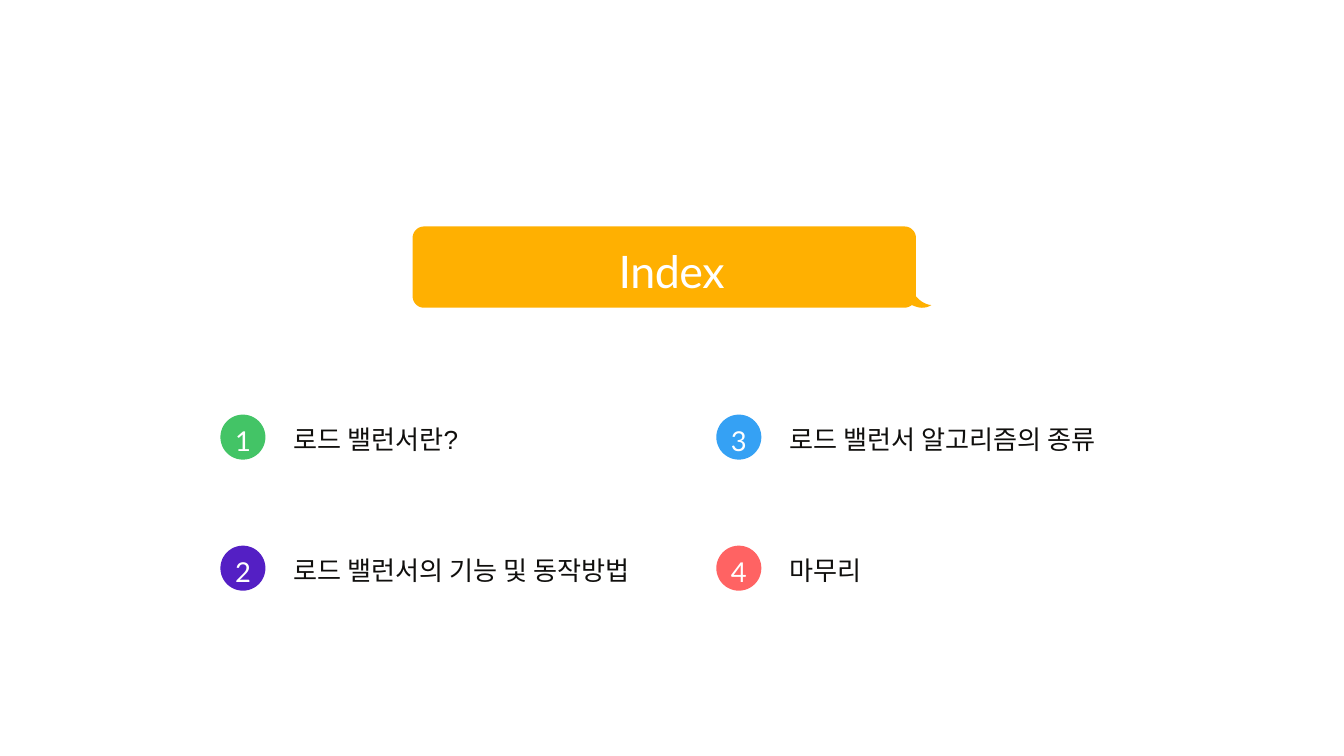
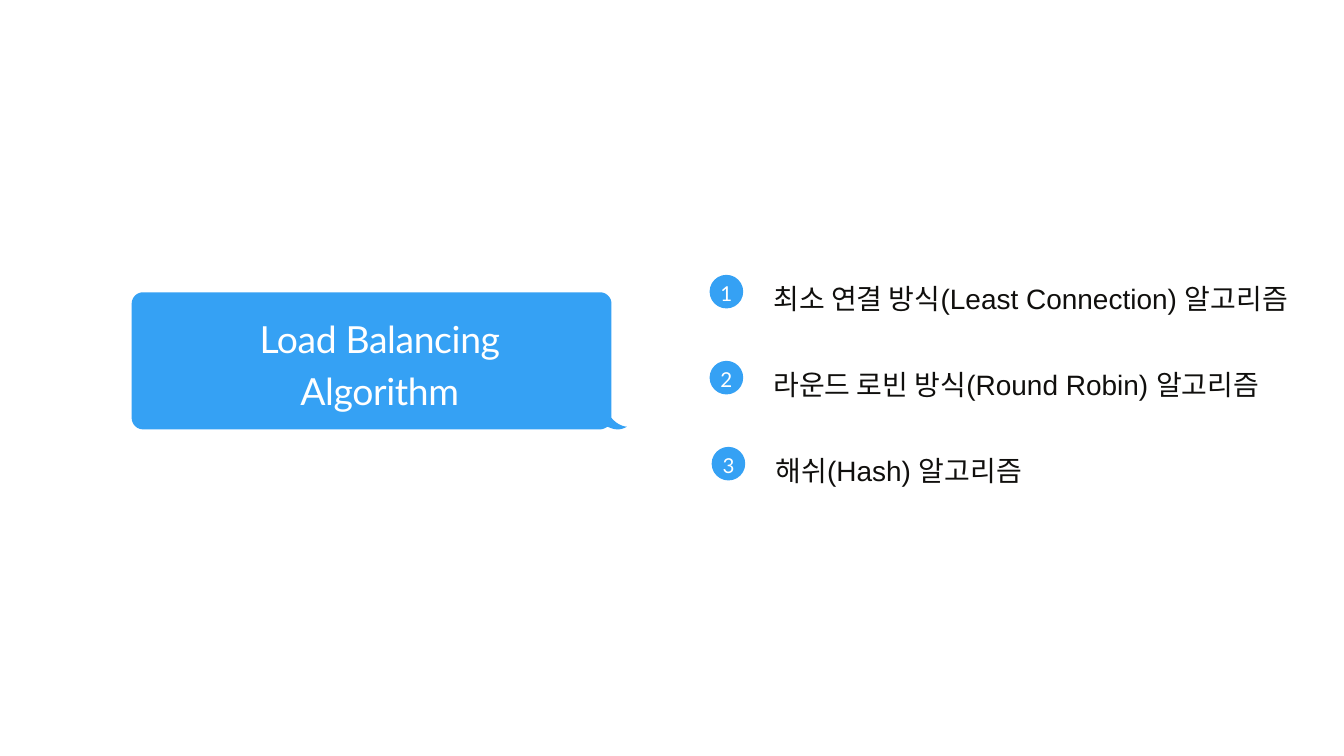
import math
import pptx
import pptx.dml.color
import pptx.enum.shapes
import pptx.enum.text
import pptx.util

Inches = pptx.util.Inches
Pt = pptx.util.Pt
color = pptx.dml.color.RGBColor.from_string
CENTER = pptx.enum.text.PP_ALIGN.CENTER
LEFT = pptx.enum.text.PP_ALIGN.LEFT
GREEN, PURPLE, AMBER, BLUE, RED = "43C466", "541FC4", "FFB001", "35A1F4", "FF6363"
WHITE, INK = "FFFFFF", "100F0D"


def add_text(slide, text, left, top, width, height, size, font, ink, align=LEFT, tracking=0):
    box = slide.shapes.add_textbox(Inches(left), Inches(top), Inches(width), Inches(height))
    frame = box.text_frame
    frame.margin_left = frame.margin_top = frame.margin_right = frame.margin_bottom = 0
    frame.word_wrap = True
    frame.auto_size = pptx.enum.text.MSO_AUTO_SIZE.SHAPE_TO_FIT_TEXT
    line = frame.paragraphs[0]
    line.alignment = align
    line.line_spacing = Pt(size * 1.4)
    line.font.size = Pt(size)
    line.font.name = font
    line.font.color.rgb = color(ink)
    run = line.add_run()
    run.text = text
    if tracking:
        run.font._element.set("spc", str(tracking))


def add_bubble(slide, left, top, right, bottom, fill):
    radius = 0.17
    outline = [(right, bottom - radius)]
    # Three rounded corners, anticlockwise from the top right
    corners = [(right - radius, top + radius, 0), (left + radius, top + radius, 90),
               (left + radius, bottom - radius, 180)]
    for x, y, start in corners:
        for step in range(0, 91, 10):
            angle = math.radians(start + step)
            outline.append((x + radius * math.cos(angle), y - radius * math.sin(angle)))
    # Tail: Bezier curves measured from the bottom right corner
    tail = [[(-0.17, 0), (-0.13, 0), (-0.09, -0.02), (-0.06, -0.04)],
            [(-0.06, -0.04), (-0.01, -0.02), (0.1, 0.04), (0.23, -0.04)],
            [(0.23, -0.04), (0.23, -0.04), (0.11, -0.04), (0, -0.17)]]
    for curve in tail:
        for step in range(11):
            t = step / 10
            weights = [math.comb(3, k) * t ** k * (1 - t) ** (3 - k) for k in range(4)]
            x = sum(w * point[0] for w, point in zip(weights, curve))
            y = sum(w * point[1] for w, point in zip(weights, curve))
            outline.append((right + x, bottom + y))
    points = [(Inches(x), Inches(y)) for x, y in outline]
    builder = slide.shapes.build_freeform(*points[0], scale=1.0)
    builder.add_line_segments(points[1:], close=True)
    bubble = builder.convert_to_shape()
    bubble.shadow.inherit = False
    bubble.fill.solid()
    bubble.fill.fore_color.rgb = color(fill)
    bubble.line.fill.background()


deck = pptx.Presentation()
deck.slide_width, deck.slide_height = Inches(20), Inches(11.25)
blank = deck.slide_layouts[6]

# Slide 1: index
index = deck.slides.add_slide(blank)
add_bubble(index, 6.14, 3.37, 13.63, 4.58, AMBER)
add_text(index, "Index", 6.8, 3.5, 6.39, 0.87, 48, "Lato", WHITE, CENTER, -50)

# Slide 2: algorithms
algorithms = deck.slides.add_slide(blank)
add_bubble(algorithms, 1.96, 4.35, 9.1, 6.39, BLUE)
add_text(algorithms, "Load Balancing Algorithm", 2.73, 4.59, 5.84, 1.5,
         40, "Lato", WHITE, CENTER, -40)

# Numbered entries: number, label, badge left and top, label width, badge colour
chapters = [
    (1, "로드 밸런서란?", 3.28, 6.17, 5.3, GREEN),
    (2, "로드 밸런서의 기능 및 동작방법", 3.28, 8.12, 5.86, PURPLE),
    (3, "로드 밸런서 알고리즘의 종류", 10.66, 6.17, 5.3, BLUE),
    (4, "마무리", 10.66, 8.12, 5.3, RED),
]
methods = [
    (1, "최소 연결 방식(Least Connection) 알고리즘", 10.56, 4.09, 8.49, BLUE),
    (2, "라운드 로빈 방식(Round Robin) 알고리즘", 10.56, 5.37, 7.68, BLUE),
    (3, "해쉬(Hash) 알고리즘", 10.59, 6.65, 5.59, BLUE),
]
# Per slide: badge size, number size, number drop, label size, label offset
lists = [
    (index, chapters, 0.67, 29.3, 0.06, 28, 1.09, 0.05),
    (algorithms, methods, 0.5, 22, 0.03, 30, 0.95, 0.02),
]
for slide, entries, diameter, number_size, drop, label_size, label_dx, label_dy in lists:
    for number, label, left, top, width, fill in entries:
        badge = slide.shapes.add_shape(pptx.enum.shapes.MSO_SHAPE.OVAL, Inches(left), Inches(top),
                                       Inches(diameter), Inches(diameter))
        badge.shadow.inherit = False
        badge.fill.solid()
        badge.fill.fore_color.rgb = color(fill)
        badge.line.fill.background()
        add_text(slide, str(number), left + diameter / 6, top + drop, diameter * 2 / 3,
                 number_size / 56, number_size, "Lato", WHITE, CENTER)
        add_text(slide, label, left + label_dx, top + label_dy, width,
                 label_size / 56, label_size, "Arial", INK)

deck.save("out.pptx")
